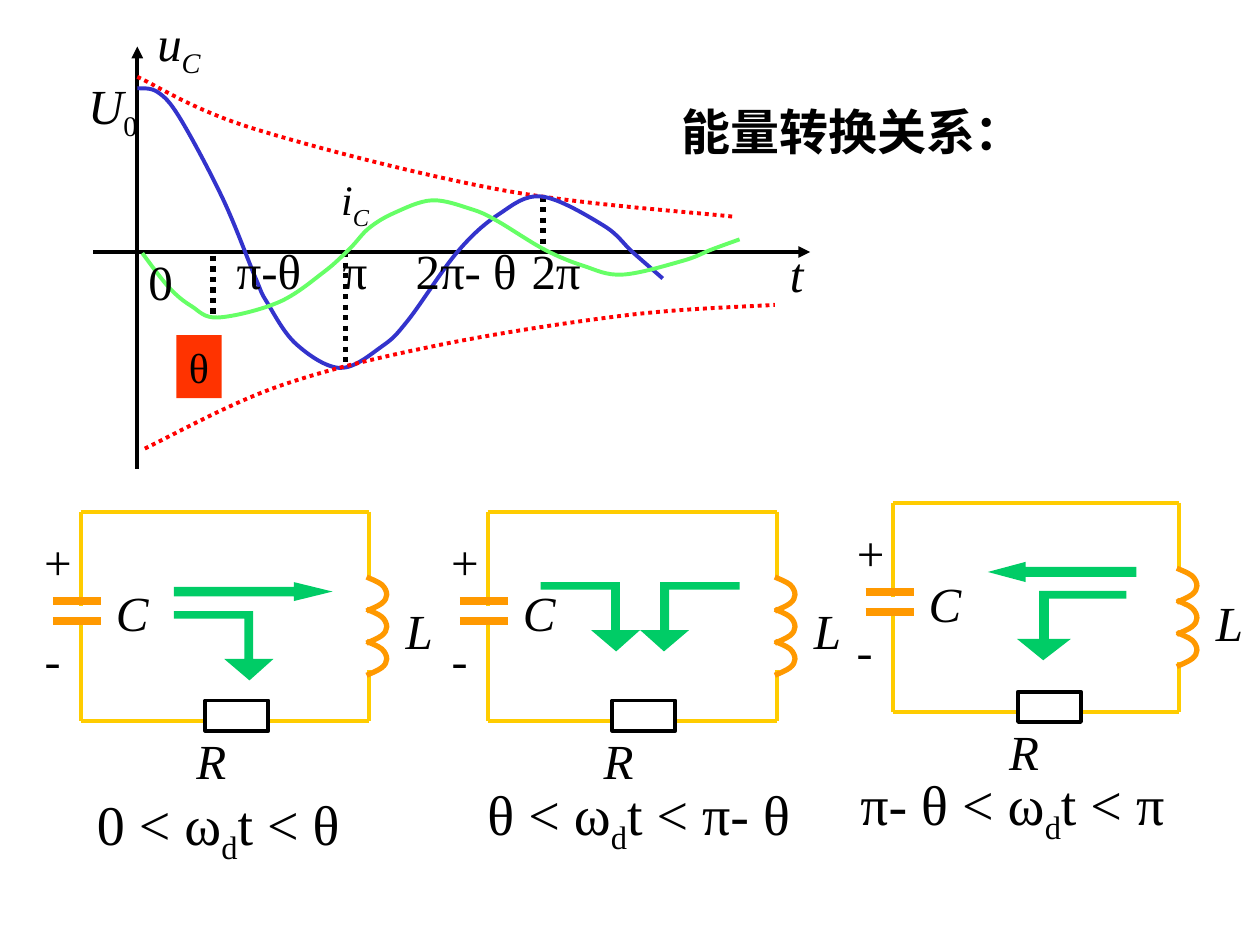
from lxml import etree
from pptx import Presentation
from pptx.dml.color import RGBColor
from pptx.enum.dml import MSO_LINE
from pptx.enum.shapes import MSO_CONNECTOR, MSO_SHAPE
from pptx.enum.text import MSO_AUTO_SIZE
from pptx.oxml.ns import qn
from pptx.util import Inches, Pt

DOT = MSO_LINE.ROUND_DOT
STRAIGHT = MSO_CONNECTOR.STRAIGHT
RECT, ARROW = MSO_SHAPE.RECTANGLE, MSO_SHAPE.RIGHT_ARROW
FIT = MSO_AUTO_SIZE.SHAPE_TO_FIT_TEXT
TIMES, NOTO = "Times New Roman", "Noto Sans CJK SC"
BLACK, WHITE, YELLOW, ORANGE = "000000", "FFFFFF", "FFCC00", "FF9900"
GREEN, LIME, BLUE, RED, BOX = "00CC66", "66FF66", "3333CC", "FF0000", "FF3300"

prs = Presentation()
prs.slide_width, prs.slide_height = Inches(10), Inches(7.5)
shapes = prs.slides.add_slide(prs.slide_layouts[6]).shapes
color = RGBColor.from_string


def paint(shape, fill=None, line=None, width=2.25, dash=None):
    """Fill and outline a shape; None leaves that part empty."""
    shape.shadow.inherit = False
    for part, tint in ((shape.fill, fill), (shape.line.fill, line)):
        if tint:
            part.solid()
            part.fore_color.rgb = color(tint)
        else:
            part.background()
    if line:
        shape.line.width = Pt(width)
        shape.line.dash_style = dash


def trace(points, smooth=True):
    """Draw an open smooth curve or a closed polygon through points in inches."""
    spots = [(Inches(x), Inches(y)) for x, y in points]
    pen = shapes.build_freeform(*spots[0])
    pen.add_line_segments(spots[1:], close=not smooth)
    shape = pen.convert_to_shape()
    if smooth:
        left, top = shape.left, shape.top
        ends = [spots[0]] + spots + [spots[-1]]
        for i, step in enumerate(list(shape._element.iter(qn("a:lnTo")))):
            a, b, c, d = ends[i:i + 4]
            step.tag = qn("a:cubicBezTo")
            step.clear()
            for x, y in (
                (b[0] + (c[0] - a[0]) / 6, b[1] + (c[1] - a[1]) / 6),
                (c[0] - (d[0] - b[0]) / 6, c[1] - (d[1] - b[1]) / 6),
                c,
            ):
                etree.SubElement(step, qn("a:pt"), x=str(round(x - left)), y=str(round(y - top)))
    return shape


# Lines: start, end, colour, width, dash, arrowhead
lines = [
    (0.74, 2, 6.43, 2, BLACK, 2.25, None, True),
    (1.09, 3.72, 1.09, 0.37, BLACK, 2.25, None, True),
    (2.74, 2, 2.74, 2.93, BLACK, 3, DOT, False),
    (4.31, 1.56, 4.31, 2, BLACK, 3, DOT, False),
    (1.69, 2.03, 1.69, 2.53, BLACK, 3, DOT, False),
]

# Labels: left, top, width, height, inset, size, runs (text, style), fill
labels = [
    (5.31, 0.76, 2.96, 0.57, 0.1, 28, [("能量转换关系：", "bold")], None),
    (6.17, 1.88, 0.31, 0.57, 0.1, 28, [("t", "italic")], None),
    (0.6, 0.55, 0.61, 0.57, 0.1, 28, [("U", "italic"), ("0", "sub")], None),
    (1.15, 0.05, 0.57, 0.57, 0.1, 28, [("u", "italic"), ("C", "italic sub")], None),
    (2.61, 1.33, 0.44, 0.5, 0.1, 24, [("i", "italic"), ("C", "italic sub")], None),
    (1.4, 2.66, 0.36, 0.5, 0.1, 24, [("θ", "plain")], BOX),
]
for x, y, w, text in (
    (1.78, 1.86, 0.74, "π-θ"),
    (3.2, 1.86, 1.03, "2π- θ"),
    (4.12, 1.86, 0.61, "2π"),
    (2.62, 1.86, 0.41, "π"),
    (1.08, 1.95, 0.4, "0"),
):
    labels.append((x, y, w, 0.57, 0.1, 28, [(text, "plain")], None))
for x, y, w, low, high in (
    (0.67, 6.22, 2.37, "0 < ω", "t < θ"),
    (3.77, 6.14, 2.68, "θ < ω", "t < π- θ"),
    (6.73, 6.06, 2.82, "π- θ < ω", "t < π"),
):
    runs = [(low, "plain"), ("d", "sub"), (high, "plain")]
    labels.append((x, y, w, 0.64, 0.1, 32, runs, None))

# Circuits: wires, capacitor plates, coil and labels
circuits = ((0.64, 2.93, 4.06), (3.87, 6.17, 4.06), (7.09, 9.36, 3.99))
for left, right, top in circuits:
    base = top + 1.66
    for wire in (
        (left, top, right, top),
        (left, base, right, base),
        (left, top, left, top + 0.75),
        (left, top + 0.87, left, base),
        (right, top, right, top + 0.51),
        (right, top + 1.26, right, base),
    ):
        lines.append((*wire, YELLOW, 2.25, None, False))
    for y in (top + 0.71, top + 0.87):
        lines.append((left - 0.22, y, left + 0.16, y, ORANGE, 4.5, None, False))
    for x, y, w, text, style in (
        (left + 0.92, top + 1.74, 0.54, "R", "italic"),
        (right + 0.29, top + 0.71, 0.22, "L", "italic"),
        (left + 0.28, top + 0.56, 0.5, "C", "italic"),
        (left - 0.29, top + 0.16, 0.22, "+", "plain"),
        (left - 0.29, top + 0.95, 0.2, "-", "minus"),
    ):
        labels.append((x, y, w, 0.47, 0, 28, [(text, style)], None))

for x1, y1, x2, y2, tint, width, dash, head in lines:
    line = shapes.add_connector(STRAIGHT, Inches(x1), Inches(y1), Inches(x2), Inches(y2))
    line.line.color.rgb = color(tint)
    line.line.width = Pt(width)
    line.line.dash_style = dash
    props = line._element.spPr
    if head:
        etree.SubElement(props.find(qn("a:ln")), qn("a:tailEnd"), type="triangle")
    etree.SubElement(props, qn("a:effectLst"))

loop = ((0, 0), (0.12, 0.06), (0.16, 0.14), (0.12, 0.21), (0, 0.27))
for left, right, top in circuits:
    for turn in range(3):
        y = top + 0.52 + turn * 0.255
        coil = trace([(right - 0.02 + dx, y + dy) for dx, dy in loop])
        paint(coil, line=ORANGE, width=3)
    ohm = shapes.add_shape(RECT, Inches(left + 0.99), Inches(top + 1.5), Inches(0.5), Inches(0.24))
    paint(ohm, WHITE, BLACK)

# Energy flow: bent arrows start at x, y; a negative scale mirrors them
bend = ((0, 0), (0.63, 0), (0.63, 0.38), (0.79, 0.38), (0.6, 0.55),
        (0.4, 0.38), (0.56, 0.38), (0.56, 0.06), (0, 0.06))
for x, y, scale in ((1.38, 4.85, 1), (4.29, 4.62, 1), (5.87, 4.62, -1), (8.94, 4.69, -1.1)):
    paint(trace([(x + dx * scale, y + dy) for dx, dy in bend], False), GREEN)
for x, y, w, h, adj, flip in (
    (1.38, 4.62, 1.26, 0.15, 2.04, False),
    (7.84, 4.46, 1.18, 0.16, 1.87, True),
):
    arrow = shapes.add_shape(ARROW, Inches(x), Inches(y), Inches(w), Inches(h))
    arrow.adjustments[1] = adj
    if flip:
        arrow._element.spPr.find(qn("a:xfrm")).set("flipH", "1")
    paint(arrow, GREEN)

# Waves and their envelopes
upper = [(1.09, 0.61), (2.01, 1.02), (3.99, 1.51), (5.82, 1.72)]
lower = [(1.15, 3.56), (2.2, 3.07), (3.48, 2.74), (4.99, 2.5), (6.15, 2.42)]
volt = [(1.09, 0.7), (1.25, 0.73), (1.43, 0.94), (1.77, 1.58), (2.03, 2.21), (2.12, 2.4),
        (2.35, 2.73), (2.7, 2.92), (3.03, 2.75), (3.24, 2.54), (3.63, 2), (3.96, 1.7),
        (4.3, 1.56), (4.79, 1.79), (5.02, 2), (5.26, 2.21)]
amp = [(1.13, 2.01), (1.34, 2.28), (1.52, 2.43), (1.73, 2.52), (2.21, 2.4), (2.57, 2.16),
       (2.78, 1.97), (2.93, 1.81), (3.13, 1.69), (3.43, 1.59), (3.74, 1.66), (3.94, 1.75),
       (4.32, 1.98), (4.63, 2.11), (4.94, 2.18), (5.42, 2.07), (5.65, 1.98), (5.87, 1.9)]
for curve, tint, dash in ((upper, RED, DOT), (volt, BLUE, None), (lower, RED, DOT), (amp, LIME, None)):
    paint(trace(curve), line=tint, dash=dash)

styles = {
    "plain": {},
    "bold": {"bold": True},
    "italic": {"italic": True},
    "minus": {"name": NOTO},
    "sub": {},
    "italic sub": {"italic": True},
}
for x, y, w, h, inset, size, runs, fill in labels:
    box = shapes.add_textbox(Inches(x), Inches(y), Inches(w), Inches(h))
    if fill:
        paint(box, fill)
    frame = box.text_frame
    frame.word_wrap = False
    frame.auto_size = FIT
    frame.margin_left = frame.margin_right = Inches(inset)
    frame.margin_top = frame.margin_bottom = Inches(inset / 2)
    for text, style in runs:
        run = frame.paragraphs[0].add_run()
        run.text = text
        run.font.color.rgb = color(BLACK)
        for key, value in {"name": TIMES, "size": Pt(size), **styles[style]}.items():
            setattr(run.font, key, value)
        props = run._r.get_or_add_rPr()
        etree.SubElement(props, qn("a:ea"), typeface=NOTO)
        if "sub" in style:
            props.set("baseline", "-25000")

prs.save("out.pptx")
